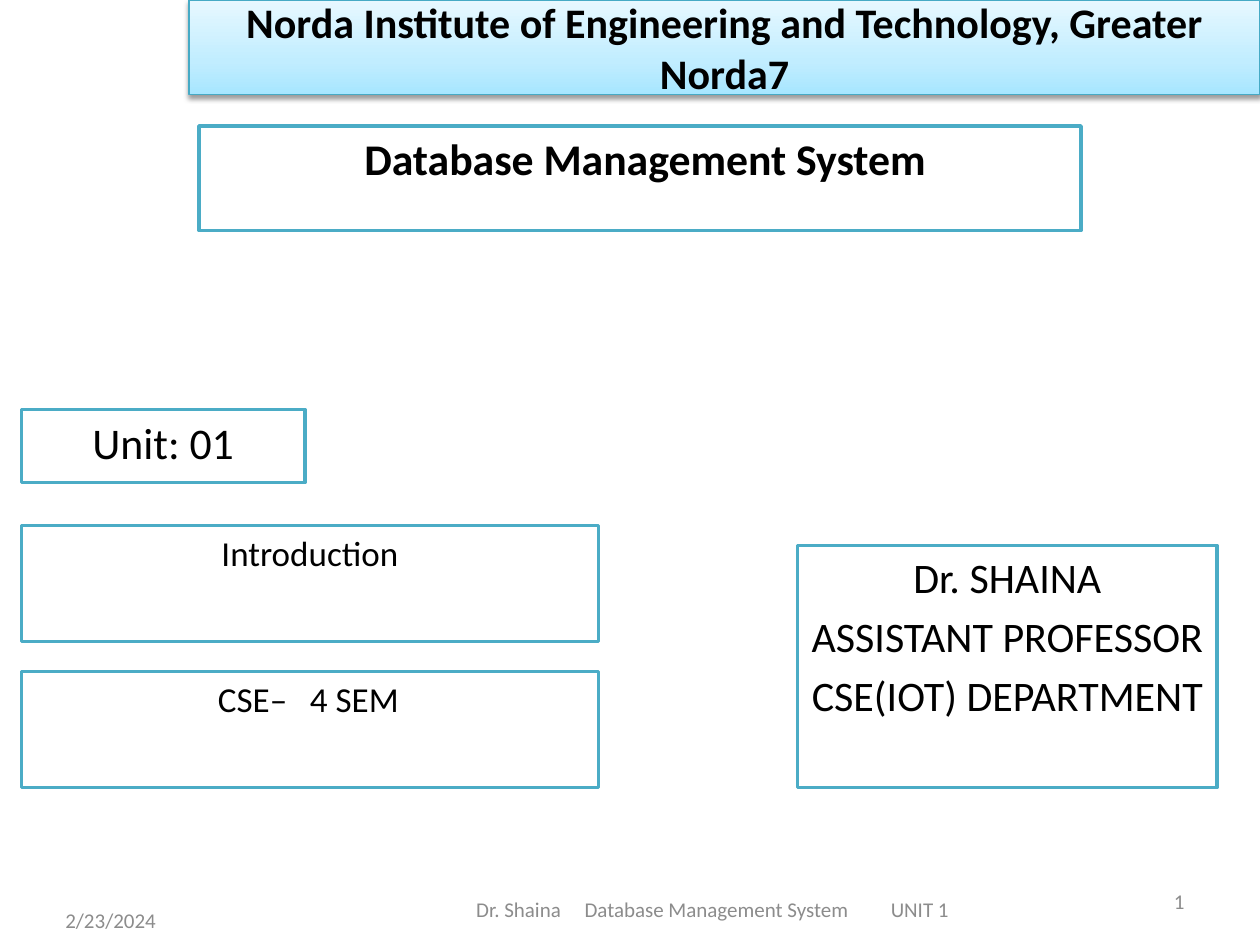
import copy

import lxml.etree
import pptx
import pptx.dml.color
import pptx.enum.shapes
import pptx.enum.text
import pptx.oxml.ns
import pptx.util

Inches = pptx.util.Inches
Pt = pptx.util.Pt
RGBColor = pptx.dml.color.RGBColor
Align = pptx.enum.text.PP_ALIGN
Anchor = pptx.enum.text.MSO_ANCHOR
qn = pptx.oxml.ns.qn

BLACK = RGBColor(0x00, 0x00, 0x00)
WHITE = RGBColor(0xFF, 0xFF, 0xFF)
GREY = RGBColor(0x8C, 0x8C, 0x8C)
TEAL = RGBColor(0x4B, 0xAC, 0xC6)
BANNER_LINE = RGBColor(0x46, 0xAA, 0xC5)
BANNER_STOPS = [
    (0, RGBColor(0xA7, 0xE6, 0xFF)),
    (0.35, RGBColor(0xC1, 0xED, 0xFF)),
    (1, RGBColor(0xE7, 0xF8, 0xFF)),
]


def write_text(shape, lines, size, color=BLACK, bold=False, align=Align.CENTER,
               anchor=Anchor.TOP, spacing=0.2):
    """Write one paragraph per line, with space before as a share of the size."""
    frame = shape.text_frame
    frame.word_wrap = True
    frame.vertical_anchor = anchor
    for index, line in enumerate(lines):
        paragraph = frame.add_paragraph() if index else frame.paragraphs[0]
        paragraph.alignment = align
        paragraph.space_before = Pt(size * spacing)
        run = paragraph.add_run()
        run.text = line
        run.font.name = "Calibri"
        run.font.size = Pt(size)
        run.font.bold = bold
        run.font.color.rgb = color


def set_tabs(shape, inset, stops):
    """Start the text at the inset and place tab stops measured from there."""
    shape.text_frame.margin_left = Inches(inset)
    properties = shape.text_frame.paragraphs[0]._p.get_or_add_pPr()
    tabs = lxml.etree.SubElement(properties, qn("a:tabLst"))
    for stop in stops:
        lxml.etree.SubElement(tabs, qn("a:tab"), pos=str(Inches(stop)), algn="l")


def add_rectangle(slide, box, line_color, line_width):
    """Add an outlined rectangle without a shadow."""
    shape = slide.shapes.add_shape(
        pptx.enum.shapes.MSO_SHAPE.RECTANGLE, *map(Inches, box))
    shape.shadow.inherit = False
    shape.line.color.rgb = line_color
    shape.line.width = Pt(line_width)
    return shape


def add_banner(slide, box, title):
    """Add the shaded heading band with its soft shadow."""
    banner = add_rectangle(slide, box, BANNER_LINE, 0.75)
    banner.fill.gradient()
    banner.fill.gradient_angle = 90
    properties = banner._element.spPr
    stop_list = properties.find(qn("a:gradFill")).find(qn("a:gsLst"))
    stop_list.append(copy.deepcopy(stop_list[-1]))
    for stop, (position, color) in zip(banner.fill.gradient_stops, BANNER_STOPS):
        stop.color.rgb = color
        stop.position = position
    shadow = lxml.etree.SubElement(
        properties.find(qn("a:effectLst")), qn("a:outerShdw"),
        blurRad=str(Pt(3.1)), dist=str(Pt(1.6)), dir="5400000", rotWithShape="0")
    shade = lxml.etree.SubElement(shadow, qn("a:srgbClr"), val=str(BLACK))
    lxml.etree.SubElement(shade, qn("a:alpha"), val="38000")
    write_text(banner, [title], 24, bold=True, anchor=Anchor.MIDDLE, spacing=0)


def add_card(slide, box, lines, size, **style):
    """Add a white card with a teal outline."""
    card = add_rectangle(slide, box, TEAL, 2)
    card.fill.solid()
    card.fill.fore_color.rgb = WHITE
    write_text(card, lines, size, **style)
    return card


def add_footer_text(slide, box, text, align):
    """Add one grey footer entry."""
    footer = slide.shapes.add_textbox(*map(Inches, box))
    write_text(footer, [text], 12, GREY, align=align, anchor=Anchor.MIDDLE, spacing=0)
    return footer


def add_cards(slide):
    """Add the course, lecturer, unit, topic and class cards."""
    add_card(slide, (1.58, 1, 7, 0.83), [" Database Management System"], 25, bold=True)
    add_card(slide, (6.33, 4.33, 3.33, 1.92),
             ["Dr. SHAINA", "ASSISTANT PROFESSOR", "CSE(IOT) DEPARTMENT"], 24)
    add_card(slide, (0.17, 3.25, 2.25, 0.58), ["Unit: 01"], 25)
    add_card(slide, (0.17, 4.17, 4.58, 0.92), ["Introduction"], 20)
    semester = add_card(slide, (0.17, 5.33, 4.58, 0.92), ["CSE–\t4 SEM"], 20,
                        align=Align.LEFT)
    set_tabs(semester, 1.56, [0.73])


def add_footer(slide):
    """Add the date, lecture line and page number."""
    add_footer_text(slide, (0.42, 7.1, 2.33, 0.4), "2/23/2024", Align.LEFT)
    add_footer_text(slide, (7.17, 6.95, 2.33, 0.4), "1", Align.RIGHT)
    lecture = add_footer_text(slide, (2.5, 7.08, 6.33, 0.27),
                              "Dr. Shaina\tDatabase Management System\tUNIT 1", Align.LEFT)
    set_tabs(lecture, 1.28, [0.86, 3.29])


def main():
    """Build and save the title slide."""
    presentation = pptx.Presentation()
    presentation.slide_width = Inches(10)
    presentation.slide_height = Inches(7.5)
    slide = presentation.slides.add_slide(presentation.slide_layouts[6])
    add_banner(slide, (1.5, 0, 8.5, 0.75),
               "Norda Institute of Engineering and Technology, Greater Norda7")
    add_cards(slide)
    add_footer(slide)
    presentation.save("out.pptx")


if __name__ == "__main__":
    main()
